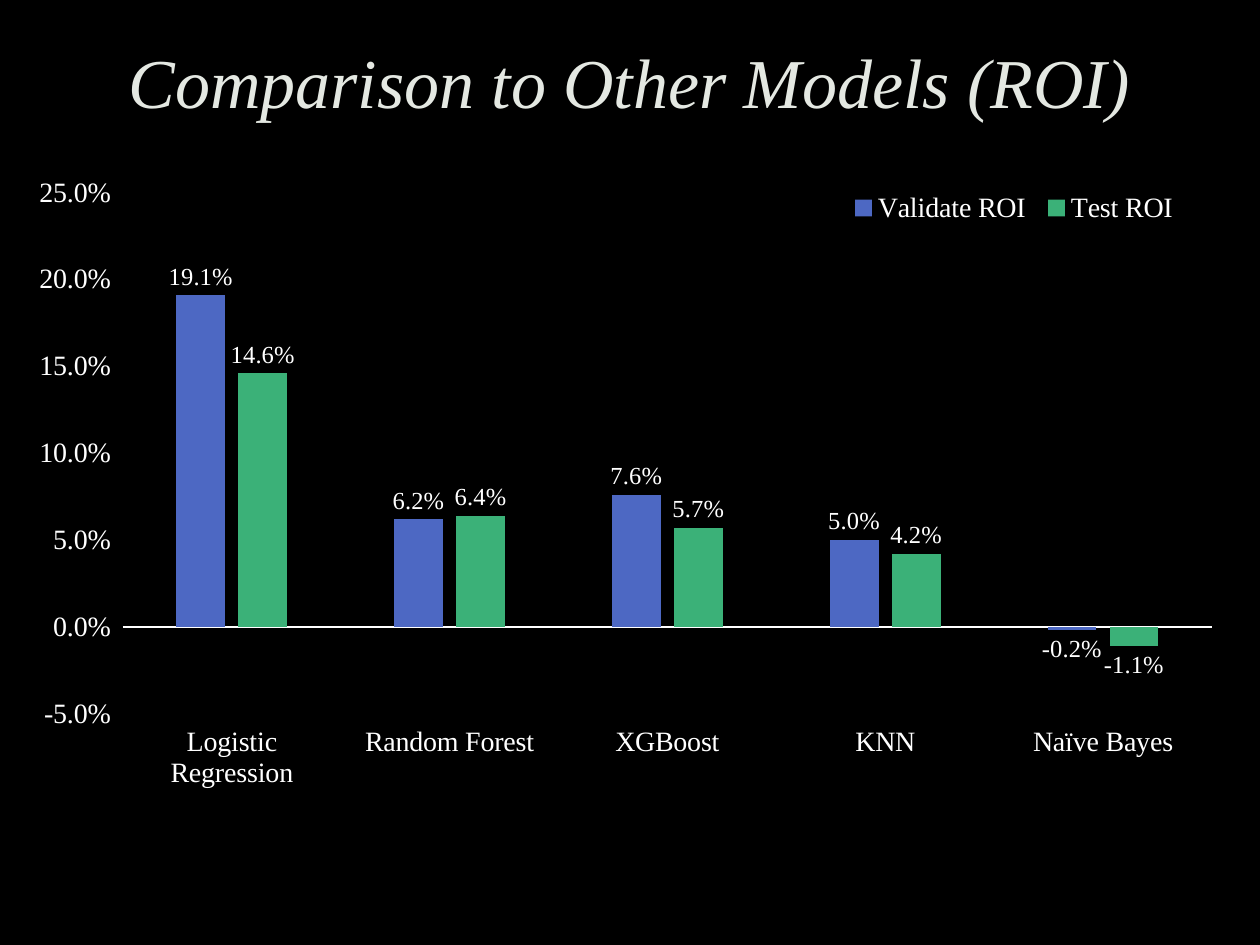
from pptx import Presentation
from pptx.chart.data import CategoryChartData
from pptx.dml.color import RGBColor
from pptx.enum.chart import (XL_CHART_TYPE, XL_LABEL_POSITION, XL_LEGEND_POSITION,
                             XL_TICK_LABEL_POSITION, XL_TICK_MARK)
from pptx.enum.text import MSO_ANCHOR, PP_ALIGN
from pptx.oxml import parse_xml
from pptx.oxml.ns import nsdecls, qn
from pptx.util import Emu, Pt

TITLE = "Comparison to Other Models (ROI)"
CATEGORIES = ["Logistic Regression", "Random Forest", "XGBoost", "KNN", "Naïve Bayes"]
SERIES = [
    ("Validate ROI", "4D68C3", [0.191, 0.062, 0.076, 0.05, -0.002]),
    ("Test ROI", "3BB178", [0.146, 0.064, 0.057, 0.042, -0.011]),
]
FONT = "Times New Roman"
WHITE = "FFFFFF"
PERCENT = "0.0%"
SLIDE_SIZE = (1260, 945)
TITLE_BOX = (23, 24, 1213, 123)
CHART_BOX = (23, 164, 1213, 692)
PLOT_BOX = (123, 193, 1089, 521)
LEGEND_BOX = (842, 190, 344, 36)


def px(length):
    return Emu(round(length * 914400 / 126))


def color(value):
    return RGBColor.from_string(value)


def style_font(font, size, fill=WHITE, italic=False):
    font.name = FONT
    font.size = Pt(size)
    font.italic = italic
    font.bold = False
    font.color.rgb = color(fill)


def add_text(slide, text, box, size, fill, italic=False):
    frame = slide.shapes.add_textbox(*map(px, box)).text_frame
    frame.word_wrap = True
    frame.vertical_anchor = MSO_ANCHOR.MIDDLE
    paragraph = frame.paragraphs[0]
    paragraph.alignment = PP_ALIGN.CENTER
    paragraph.line_spacing = 0.9
    run = paragraph.add_run()
    run.text = text
    style_font(run.font, size, fill, italic)


def set_layout(element, index, box, inner=False):
    left, top, width, height = CHART_BOX
    fractions = {
        "x": (box[0] - left) / width, "y": (box[1] - top) / height,
        "w": box[2] / width, "h": box[3] / height,
    }
    target = '<c:layoutTarget val="inner"/>' if inner else ""
    modes = '<c:xMode val="edge"/><c:yMode val="edge"/>'
    sizes = "".join(f'<c:{key} val="{value:.4f}"/>' for key, value in fractions.items())
    for old_layout in element.findall(qn("c:layout")):
        element.remove(old_layout)
    element.insert(index, parse_xml(
        f'<c:layout {nsdecls("c")}><c:manualLayout>{target}{modes}{sizes}'
        "</c:manualLayout></c:layout>"))


def style_axis(axis):
    axis.has_major_gridlines = False
    axis.major_tick_mark = XL_TICK_MARK.NONE
    axis.minor_tick_mark = XL_TICK_MARK.NONE
    axis.tick_label_position = XL_TICK_LABEL_POSITION.LOW
    style_font(axis.tick_labels.font, 16)


def add_roi_chart(slide):
    data = CategoryChartData(number_format=PERCENT)
    data.categories = CATEGORIES
    for name, _, values in SERIES:
        data.add_series(name, values)
    chart = slide.shapes.add_chart(
        XL_CHART_TYPE.COLUMN_CLUSTERED, *map(px, CHART_BOX), data).chart
    chart.has_title = False
    style_font(chart.font, 10)

    style_axis(chart.category_axis)
    chart.category_axis.format.line.color.rgb = color(WHITE)
    chart.category_axis.format.line.width = Pt(0.75)
    value_axis = chart.value_axis
    style_axis(value_axis)
    value_axis.format.line.fill.background()
    value_axis.minimum_scale, value_axis.maximum_scale = -0.05, 0.25
    value_axis.major_unit = 0.05
    value_axis.tick_labels.number_format = PERCENT
    value_axis.tick_labels.number_format_is_linked = False

    plot = chart.plots[0]
    plot.vary_by_categories = False
    plot.gap_width, plot.overlap = 219, -27
    for series, (_, fill, _) in zip(plot.series, SERIES):
        series.invert_if_negative = False
        series.format.fill.solid()
        series.format.fill.fore_color.rgb = color(fill)
        labels = series.data_labels
        labels.show_value = True
        labels.position = XL_LABEL_POSITION.OUTSIDE_END
        labels.number_format = PERCENT
        labels.number_format_is_linked = False
        style_font(labels.font, 14)

    chart.has_legend = True
    chart.legend.position = XL_LEGEND_POSITION.BOTTOM
    chart.legend.include_in_layout = False
    style_font(chart.legend.font, 16)
    set_layout(next(chart.element.iter(qn("c:plotArea"))), 0, PLOT_BOX, inner=True)
    set_layout(next(chart.element.iter(qn("c:legend"))), 1, LEGEND_BOX)


def main():
    """Build the slide comparing model ROI."""
    presentation = Presentation()
    presentation.slide_width, presentation.slide_height = map(px, SLIDE_SIZE)
    slide = presentation.slides.add_slide(presentation.slide_layouts[6])
    slide.background.fill.solid()
    slide.background.fill.fore_color.rgb = color("000000")
    add_text(slide, TITLE, TITLE_BOX, size=40, fill="E4E8E2", italic=True)
    add_roi_chart(slide)
    presentation.save("out.pptx")


if __name__ == "__main__":
    main()
